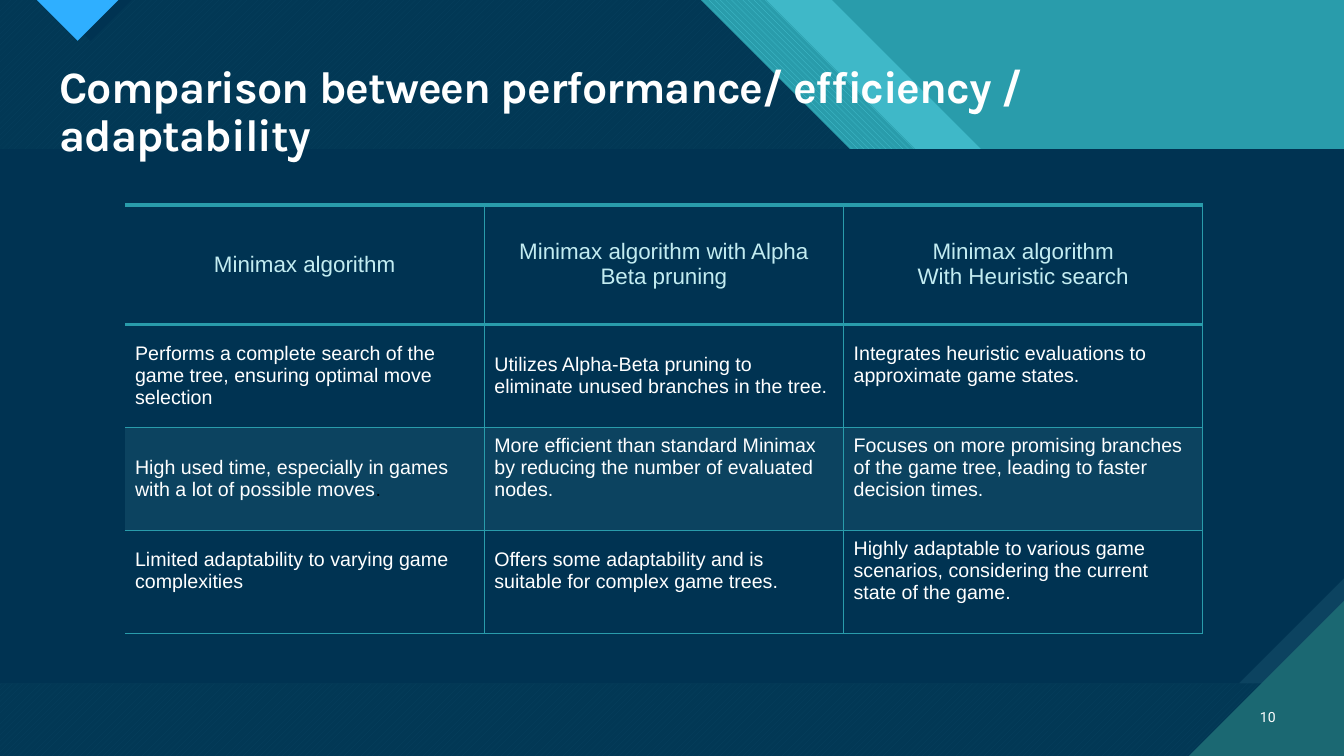
from dataclasses import dataclass

from lxml.etree import SubElement
from pptx import Presentation
from pptx.dml.color import RGBColor
from pptx.enum.dml import MSO_PATTERN
from pptx.enum.text import MSO_ANCHOR, PP_ALIGN
from pptx.oxml.ns import qn
from pptx.util import Inches, Pt

WIDTH, HEIGHT = Inches(13.33), Inches(7.5)


@dataclass(frozen=True)
class Theme:
    navy: str = "003352"
    slate: str = "0C4360"
    teal: str = "299CAB"
    aqua: str = "47C3D3"
    deep_teal: str = "1B6872"
    blue: str = "2FAFFF"
    pale: str = "C3ECF1"
    white: str = "FFFFFF"
    black: str = "000000"
    title_font: str = "Karla"
    table_font: str = "Arial"
    number_font: str = "Roboto"
    title_size: int = 32
    header_size: int = 16
    body_size: int = 14
    number_size: int = 10
    thick_line: int = 3
    thin_line: int = 1


THEME = Theme()

HEADERS = [
    ["Minimax algorithm"],
    ["Minimax algorithm with Alpha Beta pruning"],
    ["Minimax algorithm", "With Heuristic search"],
]
COMPARISON = [
    [
        "Performs a complete search of the game tree, ensuring optimal move selection",
        "Utilizes Alpha-Beta pruning to eliminate unused branches in the tree.",
        "Integrates heuristic evaluations to approximate game states.",
    ],
    [
        "High used time, especially in games with a lot of possible moves",
        "More efficient than standard Minimax by reducing the number of evaluated nodes.",
        "Focuses on more promising branches of the game tree, leading to faster decision times.",
    ],
    [
        "Limited adaptability to varying game complexities",
        "Offers some adaptability and is suitable for complex game trees.",
        "Highly adaptable to various game scenarios, considering the current state of the game.",
    ],
]
RAISED_CELLS = {(1, 2), (2, 1), (2, 2), (3, 0), (3, 1), (3, 2)}


def across(percent):
    return round(WIDTH * percent / 100)


def down(percent):
    return round(HEIGHT * percent / 100)


def apply(target, values):
    for name, value in values.items():
        setattr(target, name, value)


def add_run(paragraph, text, font, size, color, bold=False):
    run = paragraph.add_run()
    run.text = text
    apply(run.font, {"name": font, "size": Pt(size), "bold": bold})
    run.font.color.rgb = RGBColor.from_string(color)
    return run


def add_polygon(slide, points, color, opacity=100, pattern=None, back=None):
    builder = slide.shapes.build_freeform(*points[0])
    builder.add_line_segments(points[1:], close=True)
    shape = builder.convert_to_shape()
    shape.shadow.inherit = False
    shape.line.fill.background()
    fill = shape.fill
    if pattern:
        fill.patterned()
        fill.pattern = pattern
        fill.back_color.rgb = RGBColor.from_string(back)
    else:
        fill.solid()
    fill.fore_color.rgb = RGBColor.from_string(color)
    if opacity < 100:
        color_element = shape.element.spPr.find(qn("a:solidFill"))[0]
        SubElement(color_element, qn("a:alpha"), val=str(opacity * 1000))


def add_slanted_layer(slide, top_edge, color, **fill):
    drop = down(39.6)
    points = [
        (0, 0), (across(top_edge), 0), (across(top_edge) + drop, drop),
        (WIDTH, drop), (WIDTH, HEIGHT), (0, HEIGHT),
    ]
    add_polygon(slide, points, color, **fill)


def add_panel(slide, color, snip):
    top, bottom = down(19.73), down(90.4)
    points = [
        (0, top), (WIDTH, top), (WIDTH, bottom - snip),
        (WIDTH - snip, bottom), (0, bottom),
    ]
    add_polygon(slide, points, color)


def add_top_triangle(slide, center, color):
    half = down(5.4)
    middle = across(center)
    add_polygon(slide, [(middle - half, 0), (middle + half, 0), (middle, half)], color)


def add_background(slide):
    slide.background.fill.solid()
    slide.background.fill.fore_color.rgb = RGBColor.from_string(THEME.aqua)
    add_polygon(slide, [(0, 0), (WIDTH, 0), (WIDTH, HEIGHT), (0, HEIGHT)], THEME.teal)
    add_slanted_layer(slide, 61.89, THEME.aqua, opacity=74)
    add_slanted_layer(slide, 57, THEME.aqua,
                      pattern=MSO_PATTERN.WIDE_DOWNWARD_DIAGONAL, back=THEME.teal)
    add_slanted_layer(slide, 52.13, THEME.aqua,
                      pattern=MSO_PATTERN.WIDE_UPWARD_DIAGONAL, back=THEME.deep_teal)
    add_slanted_layer(slide, 52.13, THEME.navy, opacity=90)
    add_top_triangle(slide, 6.75, THEME.navy)
    add_top_triangle(slide, 5.78, THEME.blue)
    add_panel(slide, THEME.slate, 0)
    add_panel(slide, THEME.navy, down(13.92))
    corner = down(20.53)
    add_polygon(slide, [(WIDTH - corner, HEIGHT), (WIDTH, HEIGHT),
                        (WIDTH, HEIGHT - corner)], THEME.deep_teal)


def add_text(slide, box, text, frame_format, paragraph_format, **font):
    left, top, width, height = box
    shape = slide.shapes.add_textbox(across(left), down(top), across(width), down(height))
    apply(shape.text_frame, {"word_wrap": True, **frame_format})
    paragraph = shape.text_frame.paragraphs[0]
    apply(paragraph, paragraph_format)
    return add_run(paragraph, text, **font)


def set_border(cell, side, position, points):
    properties = cell._tc.get_or_add_tcPr()
    line = SubElement(properties, qn(f"a:ln{side}"), w=str(Pt(points)))
    properties.insert(position, line)
    if points:
        fill = SubElement(line, qn("a:solidFill"))
        SubElement(fill, qn("a:srgbClr"), val=THEME.teal)
    else:
        SubElement(line, qn("a:noFill"))


def format_cell(cell, row, column):
    cell.vertical_anchor = MSO_ANCHOR.MIDDLE
    if row == 2:
        cell.fill.solid()
        cell.fill.fore_color.rgb = RGBColor.from_string(THEME.slate)
    else:
        cell.fill.background()
    if (row, column) in RAISED_CELLS:
        cell.margin_bottom = Inches(0.27)
    borders = {
        "L": THEME.thin_line if column else 0,
        "R": THEME.thin_line,
        "T": THEME.thick_line if row < 2 else THEME.thin_line,
        "B": THEME.thick_line if row == 0 else THEME.thin_line,
    }
    for position, (side, points) in enumerate(borders.items()):
        set_border(cell, side, position, points)


def add_comparison_table(slide):
    rows = [HEADERS] + [[[text] for text in row] for row in COMPARISON]
    frame = slide.shapes.add_table(len(rows), len(HEADERS), across(9.3), down(27.07),
                                   across(80.2), down(56.67))
    table = frame.table
    apply(table, {"first_row": False, "horz_banding": False})
    for row, contents in enumerate(rows):
        table.rows[row].height = down(13.6 if row else 15.87)
        size, color = ((THEME.body_size, THEME.white) if row
                       else (THEME.header_size, THEME.pale))
        for column, lines in enumerate(contents):
            cell = table.cell(row, column)
            format_cell(cell, row, column)
            for index, text in enumerate(lines):
                frame_text = cell.text_frame
                paragraph = frame_text.add_paragraph() if index else frame_text.paragraphs[0]
                paragraph.alignment = PP_ALIGN.LEFT if row else PP_ALIGN.CENTER
                add_run(paragraph, text, THEME.table_font, size, color)
    add_run(table.cell(2, 0).text_frame.paragraphs[0], ".",
            THEME.table_font, THEME.body_size, THEME.black)


def main():
    presentation = Presentation()
    apply(presentation, {"slide_width": WIDTH, "slide_height": HEIGHT})
    slide = presentation.slides.add_slide(presentation.slide_layouts[6])
    add_background(slide)
    title = add_text(slide, (3.68, 7.87, 91.97, 7.87),
                     "Comparison between performance/ efficiency / adaptability",
                     {"vertical_anchor": MSO_ANCHOR.TOP}, {"line_spacing": 0.9},
                     font=THEME.title_font, size=THEME.title_size,
                     color=THEME.white, bold=True)
    title.font._element.set("spc", "-70")
    add_comparison_table(slide)
    add_text(slide, (92.35, 92.13, 3.3, 5.33), "10",
             {"vertical_anchor": MSO_ANCHOR.MIDDLE}, {"alignment": PP_ALIGN.RIGHT},
             font=THEME.number_font, size=THEME.number_size, color=THEME.white)
    presentation.save("out.pptx")


if __name__ == "__main__":
    main()
